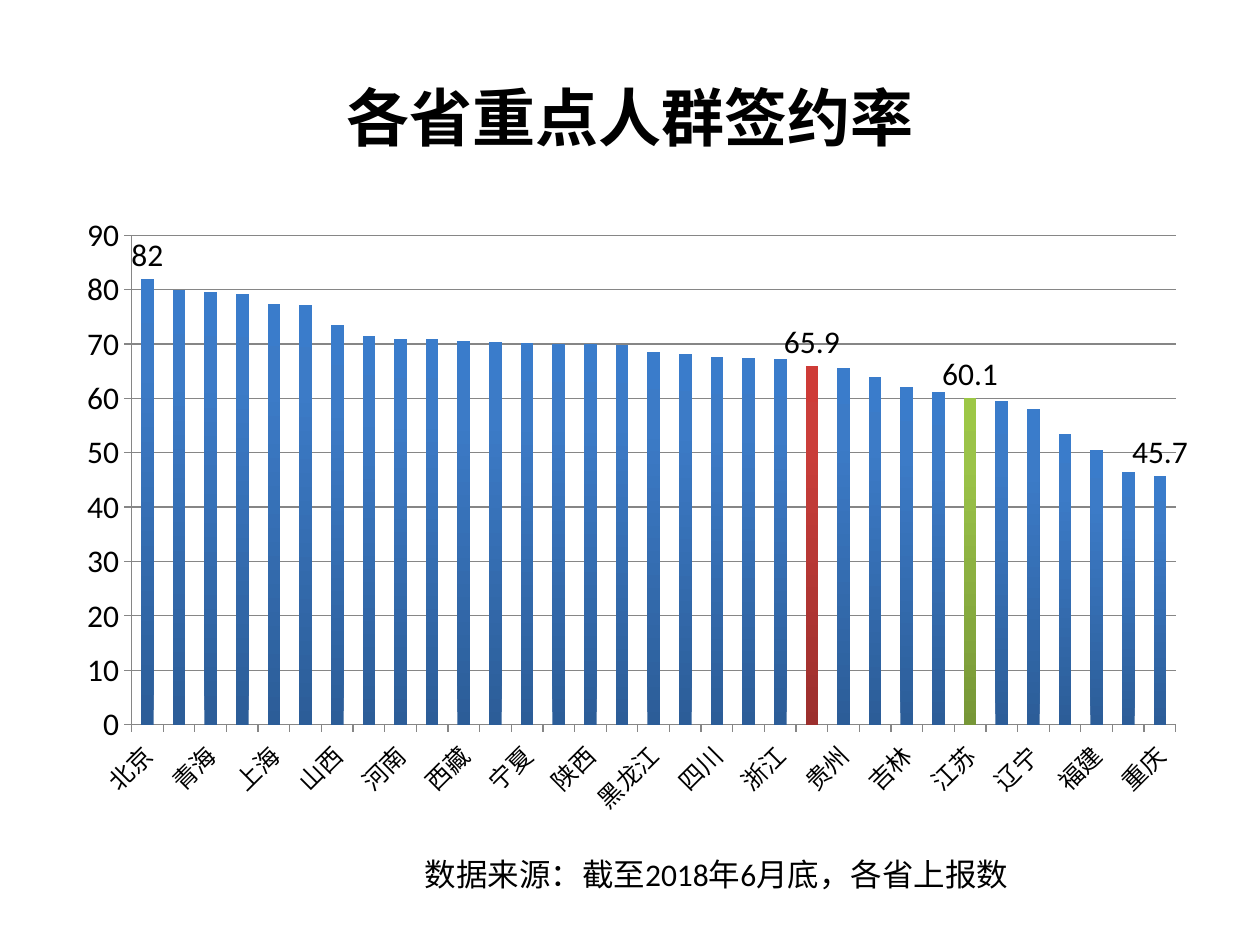
"""Build a slide charting the contract rate of key groups by province."""
import copy

import pptx
import pptx.chart.data
import pptx.dml.color
import pptx.enum.chart
import pptx.enum.text
import pptx.util

Cm = pptx.util.Cm
TITLE = "各省重点人群签约率"
SOURCE = "数据来源：截至2018年6月底，各省上报数"
RATES = [
    ("北京", 82), ("天津", 79.9), ("青海", 79.5), ("云南", 79.2), ("上海", 77.4),
    ("新疆", 77.2), ("山西", 73.6), ("兵团", 71.4), ("河南", 70.9), ("广西", 70.9),
    ("西藏", 70.5), ("湖南", 70.4), ("宁夏", 70.2), ("内蒙古", 70.1), ("陕西", 70),
    ("甘肃", 69.9), ("黑龙江", 68.6), ("河北", 68.1), ("四川", 67.6), ("安徽", 67.5),
    ("浙江", 67.2), ("全国", 65.9), ("贵州", 65.6), ("广东", 63.9), ("吉林", 62.1),
    ("江西", 61.2), ("江苏", 60.1), ("湖北", 59.5), ("辽宁", 58.1), ("山东", 53.4),
    ("福建", 50.5), ("海南", 46.5), ("重庆", 45.7),
]
LABELLED = ["北京", "全国", "江苏", "重庆"]
HIGHLIGHTS = {"全国": "red", "江苏": "green"}
THEME = {
    "font": "Calibri",
    "text": "000000",
    "line": "868686",
    "title_size": 36,
    "body_size": 18,
    "category_size": 14,
    "stops": (0, 0.8, 1),
    "blue": ("2C5D98", "3C7BC7", "3A7CCB"),
    "red": ("9C2F2D", "CB3E3A", "CE3B37"),
    "green": ("779737", "9BC348", "9DC746"),
}


def rgb(value):
    """Turn a hex string into a colour."""
    return pptx.dml.color.RGBColor.from_string(value)


def style_font(font, size, bold=False):
    """Apply the theme typeface and colour at a size."""
    font.name, font.size, font.bold = THEME["font"], pptx.util.Pt(size), bold
    font.color.rgb = rgb(THEME["text"])


def add_text(page, text, *, at, size, bold=False, align=None, anchor=None, grow=False):
    """Add a wrapped, formatted line of text."""
    box = page.shapes.add_textbox(*(Cm(length) for length in at))
    frame = box.text_frame
    frame.word_wrap = True
    if anchor is not None:
        frame.vertical_anchor = anchor
    if grow:
        frame.auto_size = pptx.enum.text.MSO_AUTO_SIZE.SHAPE_TO_FIT_TEXT
    para = frame.paragraphs[0]
    para.alignment = align
    span = para.add_run()
    span.text = text
    style_font(span.font, size, bold)


def paint_bars(chart, painted):
    """Give each fill an upward gradient of three theme stops."""
    for fill, _ in painted:
        fill.gradient()
        fill.gradient_angle = 90
    for stop_list in chart.element.xpath(".//a:gsLst"):
        stop_list.append(copy.deepcopy(stop_list[-1]))
    for fill, name in painted:
        for stop, position, colour in zip(fill.gradient_stops, THEME["stops"], THEME[name]):
            stop.position = position
            stop.color.rgb = rgb(colour)


def style_axis(axis, size):
    """Format the line, ticks and labels of an axis."""
    axis.major_tick_mark = pptx.enum.chart.XL_TICK_MARK.OUTSIDE
    axis.minor_tick_mark = pptx.enum.chart.XL_TICK_MARK.NONE
    axis.format.line.color.rgb = rgb(THEME["line"])
    axis.format.line.width = pptx.util.Pt(0.75)
    style_font(axis.tick_labels.font, size)


def add_rates(page):
    """Add the column chart of rates."""
    names, values = zip(*RATES)
    data = pptx.chart.data.CategoryChartData()
    data.categories = names
    data.add_series("签约率", values)
    chart = page.shapes.add_chart(
        pptx.enum.chart.XL_CHART_TYPE.COLUMN_CLUSTERED,
        Cm(1.3), Cm(4.11), Cm(22.86), Cm(12.57), data,
    ).chart
    chart.has_legend = chart.has_title = False
    style_font(chart.font, THEME["body_size"])

    style_axis(chart.category_axis, THEME["category_size"])
    for body in chart.category_axis.tick_labels.font and chart.element.xpath(".//c:catAx/c:txPr/a:bodyPr"):
        body.set("rot", "-2700000")
    value_axis = chart.value_axis
    style_axis(value_axis, THEME["body_size"])
    value_axis.minimum_scale, value_axis.maximum_scale, value_axis.major_unit = 0, 90, 10
    value_axis.has_major_gridlines = True
    value_axis.major_gridlines.format.line.color.rgb = rgb(THEME["line"])
    value_axis.major_gridlines.format.line.width = pptx.util.Pt(0.75)

    plot = chart.plots[0]
    plot.gap_width = 150
    plot.vary_by_categories = False
    series = plot.series[0]
    series.invert_if_negative = False
    paint_bars(chart, [(series.format.fill, "blue")] + [
        (series.points[names.index(name)].format.fill, colour)
        for name, colour in HIGHLIGHTS.items()
    ])
    series.data_labels.show_value = False
    for name in LABELLED:
        label = series.points[names.index(name)].data_label
        label.position = pptx.enum.chart.XL_LABEL_POSITION.OUTSIDE_END
        style_font(label.font, THEME["body_size"])


def main():
    """Assemble and save the deck."""
    deck = pptx.Presentation()
    deck.slide_width, deck.slide_height = Cm(25.4), Cm(19.05)
    page = deck.slides.add_slide(deck.slide_layouts[6])
    add_text(page, TITLE, at=(1.27, 0.76, 22.86, 3.18), size=THEME["title_size"], bold=True,
             align=pptx.enum.text.PP_ALIGN.CENTER, anchor=pptx.enum.text.MSO_ANCHOR.MIDDLE)
    add_rates(page)
    add_text(page, SOURCE, at=(8.31, 17.12, 15.01, 1.02), size=THEME["body_size"], grow=True)
    deck.save("out.pptx")


if __name__ == "__main__":
    main()
